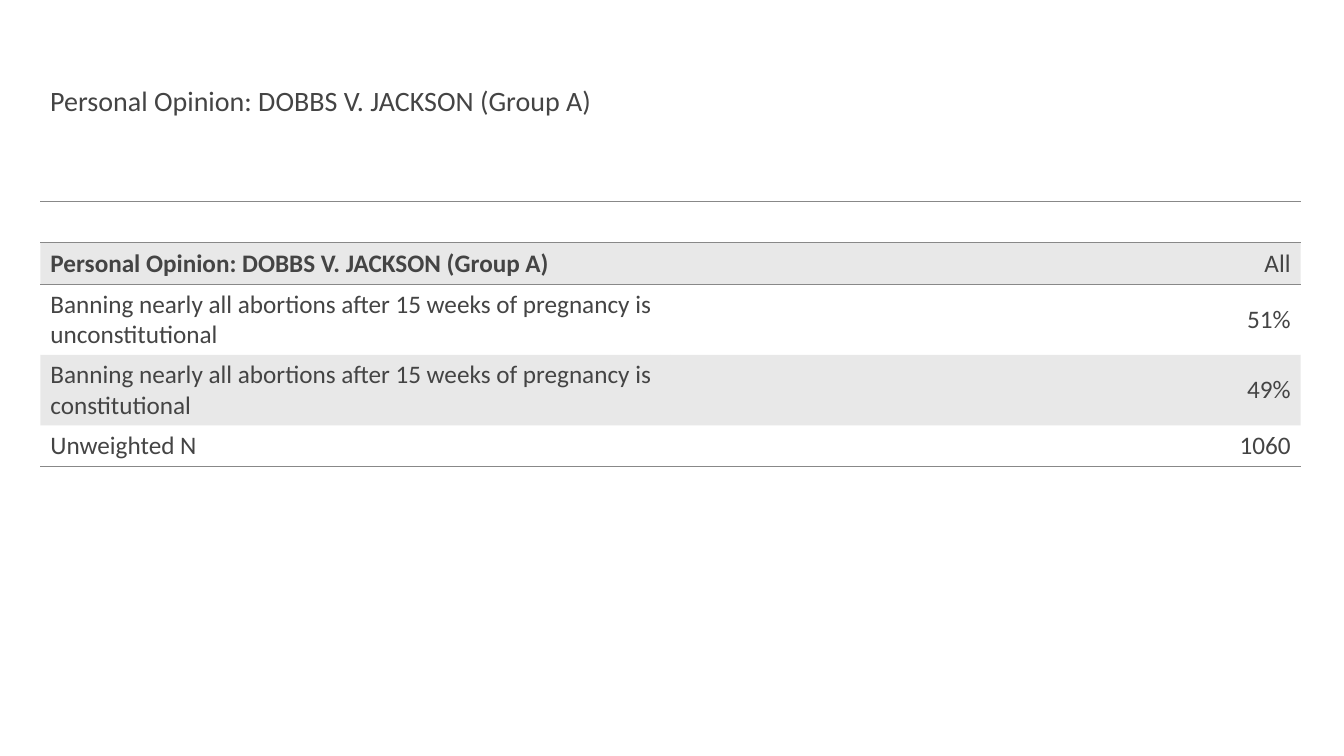
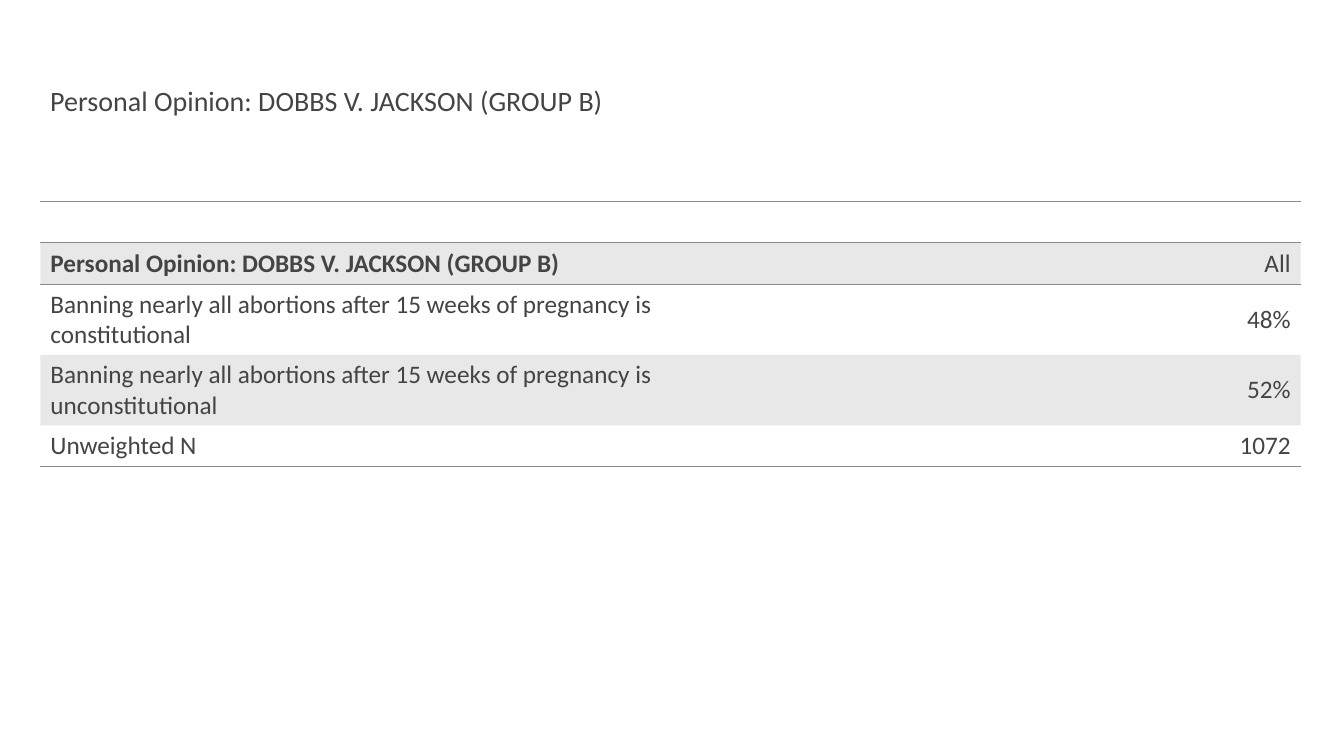
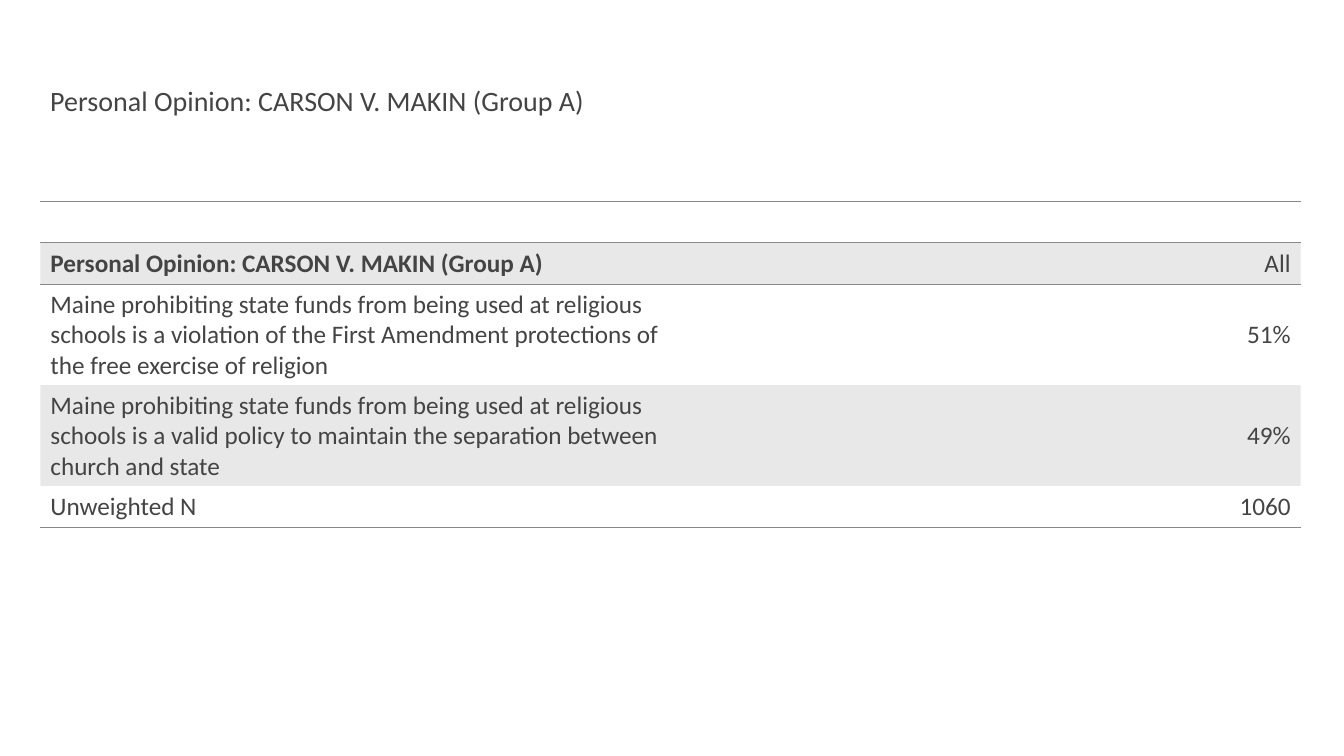
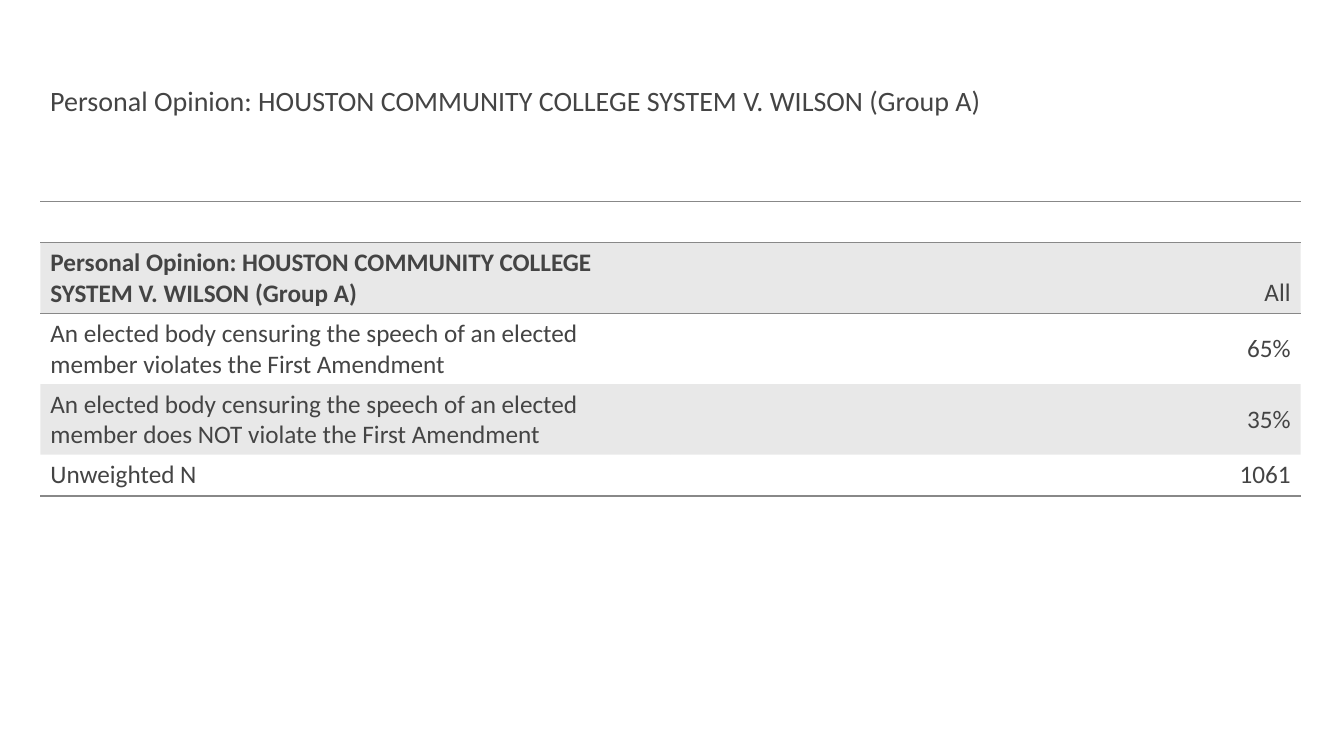
from lxml import etree
from pptx import Presentation, util as u
from pptx.dml.color import RGBColor
from pptx.enum import text
from pptx.oxml import ns

HUE = {"ink": "444444", "rule": "888888"}
FONT = {"name": "Calibri", "bold": False}
HEAD = {"size": u.Pt(20)}
BODY = {"size": u.Pt(18)}
BOLD = {"size": u.Pt(18), "bold": True}
LOW, MID = text.MSO_ANCHOR.BOTTOM, text.MSO_ANCHOR.MIDDLE
LEFT, RIGHT = text.PP_ALIGN.LEFT, text.PP_ALIGN.RIGHT
PLAIN = "{2D5ABB26-0587-4C30-8999-92F81FD0307C}"
WIDE, HIGH = 13.33, 7.5
EDGE = 0.03 * WIDE
SPAN = 12.5
ROW = 0.41

BAN = "Banning nearly all abortions after 15 weeks of pregnancy is "
FUND = "Maine prohibiting state funds from being used at religious schools is a "
BODIES = "An elected body censuring the speech of an elected member "
POLLS = [
    ("DOBBS V. JACKSON (Group A)", BAN,
     [("unconstitutional", "51%"), ("constitutional", "49%")], "1060"),
    ("DOBBS V. JACKSON (GROUP B)", BAN,
     [("constitutional", "48%"), ("unconstitutional", "52%")], "1072"),
    ("CARSON V. MAKIN (Group A)", FUND,
     [("violation of the First Amendment protections of the free exercise of religion", "51%"),
      ("valid policy to maintain the separation between church and state", "49%")], "1060"),
    ("HOUSTON COMMUNITY COLLEGE SYSTEM V. WILSON (Group A)", BODIES,
     [("violates the First Amendment", "65%"),
      ("does NOT violate the First Amendment", "35%")], "1061"),
]


def write(frame, words, look, align=LEFT):
    """Put one styled paragraph in a text frame and return it."""
    par = frame.paragraphs[0]
    par.alignment = align
    run = par.add_run()
    run.text = words
    for key, val in {**FONT, **look}.items():
        setattr(run.font, key, val)
    run.font.color.rgb = RGBColor.from_string(HUE["ink"])
    return par


def tint(cell):
    """Fill a cell with ink at 12 percent opacity."""
    cell.fill.solid()
    cell.fill.fore_color.rgb = RGBColor.from_string(HUE["ink"])
    tone = cell._tc.tcPr.find(".//" + ns.qn("a:srgbClr"))
    etree.SubElement(tone, ns.qn("a:alpha"), val="12000")


def rule(cell, sides):
    """Draw thin rules on the given sides of a cell."""
    props = cell._tc.get_or_add_tcPr()
    for spot, side in enumerate(sides):
        line = etree.Element(ns.qn("a:ln" + side), w=str(u.Pt(1)))
        fill = etree.SubElement(line, ns.qn("a:solidFill"))
        etree.SubElement(fill, ns.qn("a:srgbClr"), val=HUE["rule"])
        props.insert(spot, line)


def title(slide, box, words):
    """Place the slide title at the foot of its box."""
    frame = slide.shapes.add_textbox(*map(u.Inches, box)).text_frame
    frame.word_wrap = True
    frame.vertical_anchor = LOW
    write(frame, words, HEAD).line_spacing = 0.9


def grid(slide, box, rows):
    """Place a two-column table under an empty ruled row."""
    table = slide.shapes.add_table(len(rows) + 1, 2, *map(u.Inches, box)).table
    table.first_row = table.horz_banding = False
    table._tbl.tblPr.find(ns.qn("a:tableStyleId")).text = PLAIN
    for cell in table.rows[0].cells:
        rule(cell, "TB")
    for num, pair in enumerate(rows, 1):
        for col, words in enumerate(pair):
            cell = table.cell(num, col)
            top = num == 1
            cell.vertical_anchor = LOW if top else MID
            write(cell.text_frame, words, BOLD if top and not col else BODY,
                  RIGHT if col else LEFT)
            if num % 2:
                tint(cell)
            if top:
                rule(cell, "T")
            if num == len(rows):
                rule(cell, "B")


def poll(deck, case, stem, votes, count):
    """Add one poll slide with its title and results."""
    slide = deck.slides.add_slide(deck.slide_layouts[6])
    head = "Personal Opinion: " + case
    rows = [(head, "All"), *((stem + end, share) for end, share in votes),
            ("Unweighted N", count)]
    title(slide, (EDGE, EDGE, SPAN, 2 * ROW), head)
    grid(slide, (EDGE, 5 * EDGE, SPAN, ROW * (len(rows) + 1)), rows)


def main():
    """Build and save the deck."""
    deck = Presentation()
    deck.slide_width, deck.slide_height = u.Inches(WIDE), u.Inches(HIGH)
    for item in POLLS:
        poll(deck, *item)
    deck.save("out.pptx")


if __name__ == "__main__":
    main()
